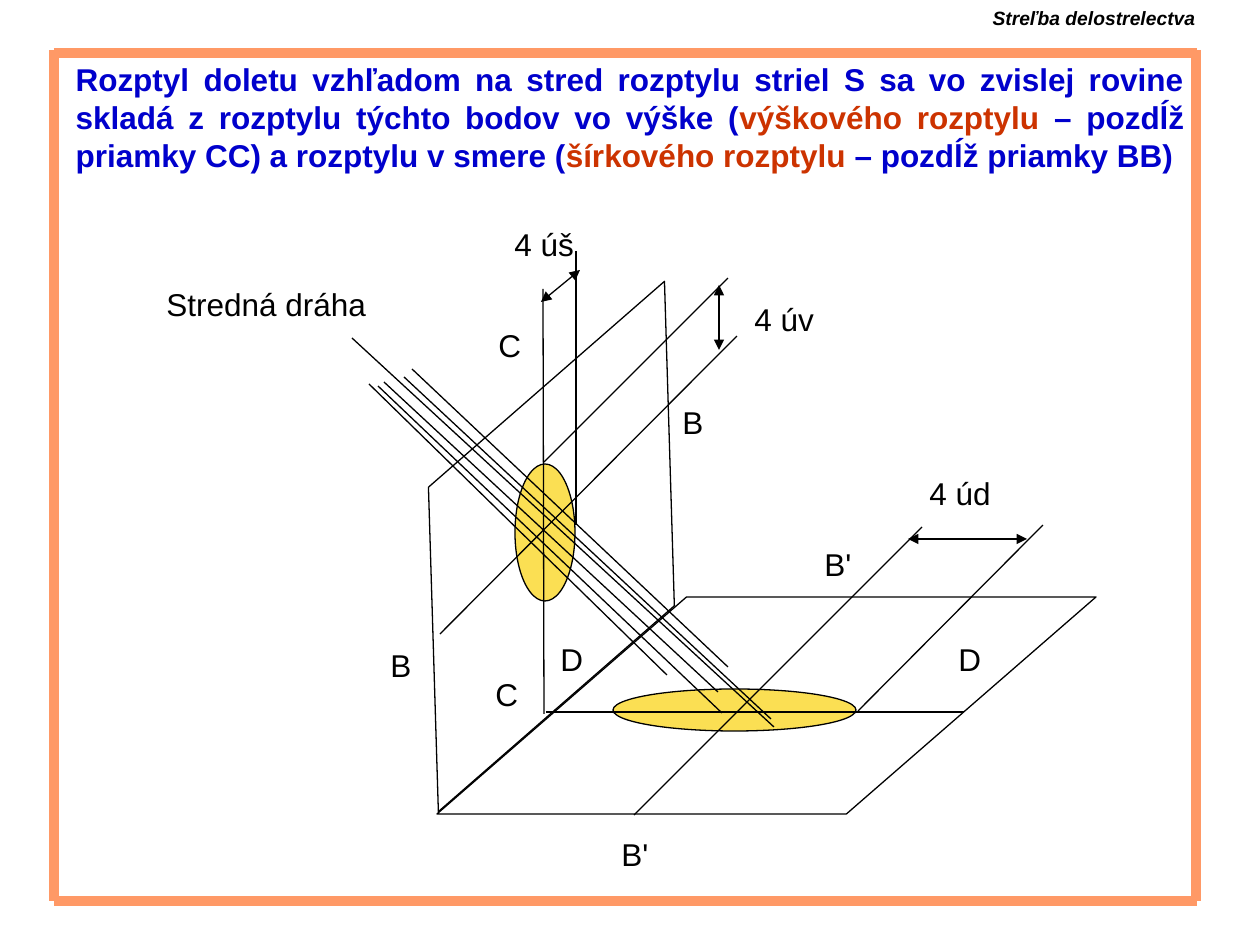
from pptx import Presentation
from pptx.dml.color import RGBColor
from pptx.enum.shapes import MSO_CONNECTOR as Link, MSO_SHAPE as Shape
from pptx.enum.text import MSO_ANCHOR as Anchor, MSO_AUTO_SIZE as Fit, PP_ALIGN as Align
from pptx.oxml.ns import qn
from pptx.util import Pt
from lxml.etree import SubElement

PX = 914400 / 126
COLORS = {"frame": "FF9966", "zone": "FBDF53", "ink": "000000", "title": "0000CC", "term": "CC3300"}
ROMAN = {"name": "Arial", "size": Pt(18), "bold": False, "italic": False}
HEADING = ROMAN | {"bold": True}
RUNNING_HEAD = ROMAN | {"size": Pt(11), "bold": True, "italic": True}


def add_line(group, ends, color, width, arrows=False):
    line = group.shapes.add_connector(Link.STRAIGHT, *[round(v * PX) for v in ends])
    line.line.color.rgb = RGBColor.from_string(COLORS[color])
    line.line.width = Pt(width)
    properties = line.line._get_or_add_ln()
    if arrows:
        for end in ("a:headEnd", "a:tailEnd"):
            SubElement(properties, qn(end), type="triangle")
    SubElement(properties.getparent(), qn("a:effectLst"))


def add_run(paragraph, text, style, color):
    run = paragraph.add_run()
    run.text = text
    for key, value in style.items():
        setattr(run.font, key, value)
    run.font.color.rgb = RGBColor.from_string(COLORS[color])


prs = Presentation()
prs.slide_width, prs.slide_height = round(1260 * PX), round(945 * PX)
slide = prs.slides.add_slide(prs.slide_layouts[5])

heading = slide.shapes.title
for key, value in {"left": 63, "top": 38, "width": 1134, "height": 158}.items():
    setattr(heading, key, round(value * PX))
for key, value in {"word_wrap": True, "auto_size": Fit.NONE, "vertical_anchor": Anchor.MIDDLE}.items():
    setattr(heading.text_frame, key, value)
sentence = heading.text_frame.paragraphs[0]
sentence.alignment = Align.JUSTIFY
for text, color in [
    ("Rozptyl doletu vzhľadom na stred rozptylu striel S sa vo zvislej rovine "
     "skladá z rozptylu týchto bodov vo výške (", "title"),
    ("výškového rozptylu", "term"),
    (" – pozdĺž priamky CC) a rozptylu v smere (", "title"),
    ("šírkového rozptylu", "term"),
    (" – pozdĺž priamky BB)", "title"),
]:
    add_run(sentence, text, HEADING, color)

frame = slide.shapes.add_group_shape()
for ends in [(54, 50, 54, 901), (1196, 50, 1196, 901), (54, 53, 1197, 53), (54, 901, 1197, 901)]:
    add_line(frame, ends, "frame", 5.25)

diagram = slide.shapes.add_group_shape()
for kind, box, slant, turn, fill in [
    (Shape.OVAL, (613, 689, 243, 42), None, 0, "zone"),
    (Shape.OVAL, (515, 464, 60, 137), None, 0, "zone"),
    (Shape.PARALLELOGRAM, (437, 597, 659, 217), 1.15, 0, None),
    (Shape.PARALLELOGRAM, (292, 421, 519, 251), 0.82, 318.9, None),
]:
    area = diagram.shapes.add_shape(kind, *[round(v * PX) for v in box])
    area.shadow.inherit = False
    area.rotation = turn
    area.line.color.rgb = RGBColor.from_string(COLORS["ink"])
    area.line.width = Pt(0.75)
    if slant:
        area.adjustments[0] = slant
    if fill:
        area.fill.solid()
        area.fill.fore_color.rgb = RGBColor.from_string(COLORS[fill])
    else:
        area.fill.background()

trajectories = [
    (384, 382, 718, 692), (352, 338, 774, 727), (412, 369, 728, 667),
    (404, 377, 771, 719), (378, 386, 722, 713), (369, 384, 667, 675),
]
axes_and_limits = [
    (634, 815, 922, 527), (858, 711, 1043, 525), (964, 712, 546, 712), (544, 714, 543, 289),
    (440, 634, 737, 336), (576, 525, 576, 251), (544, 462, 728, 278),
]
for ends in trajectories + axes_and_limits:
    add_line(diagram, ends, "ink", 0.75)
for ends in [(908, 539, 1027, 539), (719, 285, 719, 350), (541, 302, 580, 270)]:
    add_line(diagram, ends, "ink", 0.75, arrows=True)

for owner, text, box, style, align in [
    (diagram, "4 úv", (742, 294, 108, 50), ROMAN, Align.LEFT),
    (diagram, "4 úd", (917, 468, 108, 50), ROMAN, Align.LEFT),
    (diagram, "4 úš", (502, 219, 90, 50), ROMAN, Align.LEFT),
    (diagram, "Stredná dráha", (154, 279, 234, 50), ROMAN, Align.LEFT),
    (diagram, "B", (670, 397, 49, 50), ROMAN, Align.LEFT),
    (diagram, "B", (378, 640, 49, 50), ROMAN, Align.LEFT),
    (diagram, "C", (486, 320, 49, 50), ROMAN, Align.LEFT),
    (diagram, "C", (483, 669, 49, 50), ROMAN, Align.LEFT),
    (diagram, "B'", (609, 829, 67, 50), ROMAN, Align.LEFT),
    (diagram, "B'", (812, 539, 67, 50), ROMAN, Align.LEFT),
    (diagram, "D", (946, 634, 49, 50), ROMAN, Align.LEFT),
    (diagram, "D", (548, 634, 49, 50), ROMAN, Align.LEFT),
    (slide, "Streľba delostrelectva", (932, 0, 276, 37), RUNNING_HEAD, Align.RIGHT),
]:
    label = owner.shapes.add_textbox(*[round(v * PX) for v in box]).text_frame
    for key, value in {"word_wrap": True, "auto_size": Fit.SHAPE_TO_FIT_TEXT}.items():
        setattr(label, key, value)
    label.paragraphs[0].alignment = align
    add_run(label.paragraphs[0], text, style, "ink")

prs.save("out.pptx")
